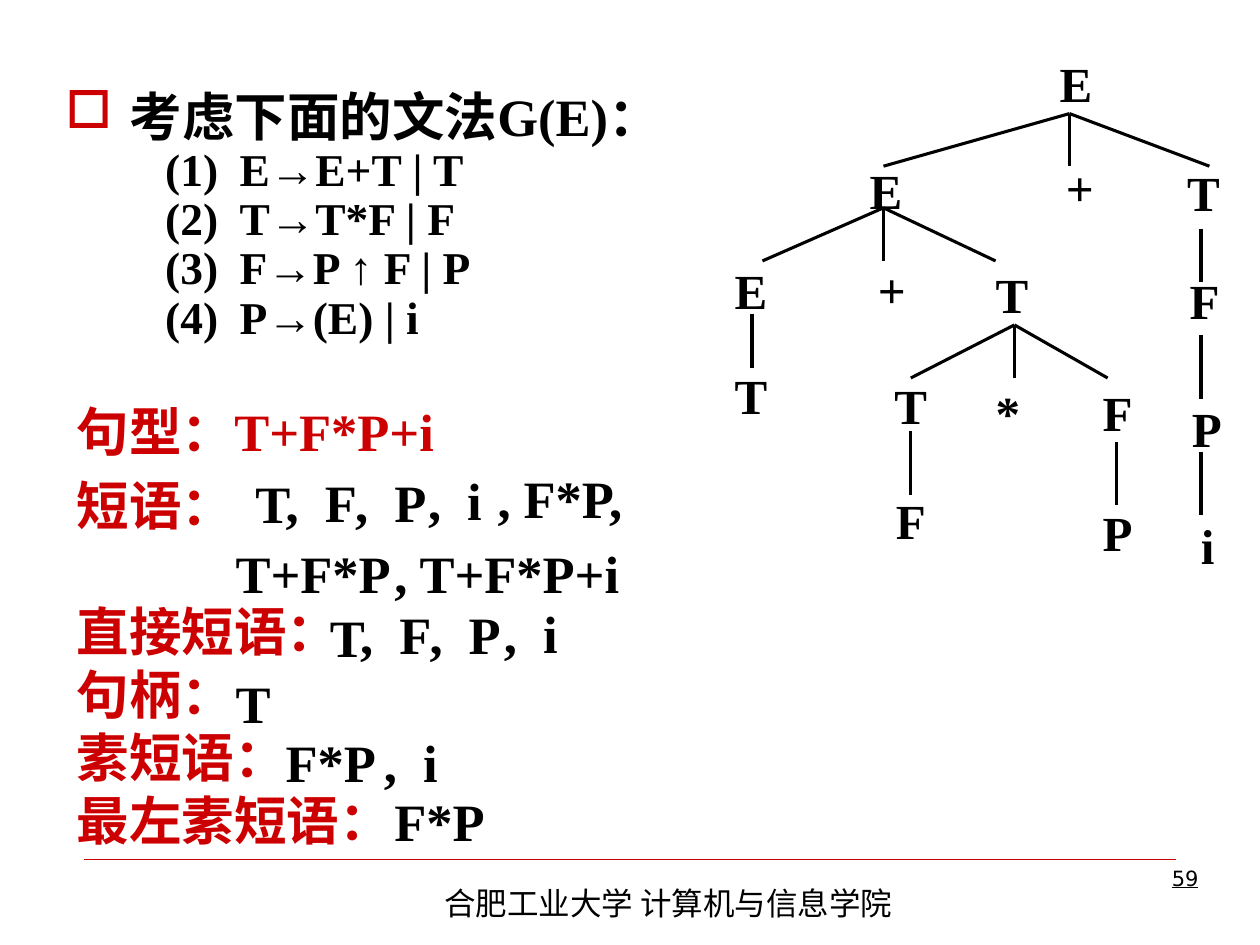
from dataclasses import dataclass

from lxml.etree import SubElement
from pptx import Presentation
from pptx.dml.color import RGBColor
from pptx.enum.text import MSO_ANCHOR, PP_ALIGN
from pptx.oxml.ns import qn
from pptx.util import Cm, Pt


@dataclass(frozen=True)
class Theme:
    black: str = "000000"
    red: str = "CC0000"
    serif: str = "Times New Roman"
    hei: str = "Noto Sans CJK SC"
    sans: str = "Arial"
    mono: str = "DejaVu Sans"
    big: int = 30
    node: int = 28
    rule: int = 26
    foot: int = 18
    small: int = 12


def inch(num):
    """Turn a grid value in inches into a Cm length."""
    return Cm(round(num * 2.54, 2))


class Page:
    def __init__(self, deck, theme):
        self.theme = theme
        self.slide = deck.slides.add_slide(deck.slide_layouts[6])

    def box(self, spot, pad=(0.1, 0.05, 0.1, 0.05), wrap=True):
        frame = self.slide.shapes.add_textbox(*map(inch, spot)).text_frame
        sides = ("left", "top", "right", "bottom")
        form = {f"margin_{side}": inch(gap) for side, gap in zip(sides, pad)}
        form.update(word_wrap=wrap, vertical_anchor=MSO_ANCHOR.TOP)
        for key, val in form.items():
            setattr(frame, key, val)
        return frame

    def para(self, frame, first=False, **form):
        para = frame.paragraphs[0] if first else frame.add_paragraph()
        for key, val in form.items():
            setattr(para, key, val)
        return para

    def hang(self, para, left, back):
        """Indent a paragraph by left, its first line by back less."""
        props = para._p.get_or_add_pPr()
        props.set("marL", str(inch(left)))
        props.set("indent", str(-inch(back)))
        return props

    def bullet(self, para, mark):
        props = self.hang(para, 0.51, 0.51)
        tint = SubElement(props, qn("a:buClr"))
        SubElement(tint, qn("a:srgbClr"), val=self.theme.red)
        SubElement(props, qn("a:buChar"), char=mark)

    def stop(self, para, place):
        tabs = SubElement(para._p.get_or_add_pPr(), qn("a:tabLst"))
        SubElement(tabs, qn("a:tab"), pos=str(inch(place)), algn="l")

    def run(self, para, text, size, tint=None, **form):
        run = para.add_run()
        run.text = text
        style = {"name": self.theme.serif, "bold": True, "size": Pt(size)}
        for key, val in {**style, **form}.items():
            setattr(run.font, key, val)
        run.font.color.rgb = RGBColor.from_string(tint or self.theme.black)

    def line(self, start, end, width, tint):
        ends = map(inch, (*start, *end))
        line = self.slide.shapes.add_connector(1, *ends)
        line.line.width = Pt(width)
        line.line.color.rgb = RGBColor.from_string(tint)
        SubElement(line._element.spPr, qn("a:effectLst"))

    def node(self, mark, left, top):
        wide = {"+": 0.22, "*": 0.19, "i": 0.11, "F": 0.24, "P": 0.24}
        frame = self.box((left, top, wide.get(mark, 0.26), 0.47), (0,) * 4, False)
        self.run(self.para(frame, True), mark, self.theme.node)

    def item(self, text, left, top, width):
        """Place one answer; a tab in it parts a comma from a symbol."""
        frame = self.box((left, top, width, 0.6), (0.1, 0.05, 0, 0.05))
        para = self.para(frame, True)
        if "\t" in text:
            self.stop(para, 0.31)
        self.run(para, text, self.theme.big)


RULES = [
    ["(1)\tE→E+T | T"],
    ["(2)\tT→T*F | F"],
    ["(3)\tF→P ", "↑", " F | P"],
    ["(4)\tP→(E) | i"],
]
LABELS = ["短语：", "直接短语：", "句柄：", "素短语：", "最左素短语："]
NODES = [
    ("E", 8.41, 0.42), ("E", 6.9, 1.27), ("+", 8.46, 1.25), ("T", 9.42, 1.29),
    ("E", 5.83, 2.07), ("+", 6.97, 2.06), ("T", 7.9, 2.1), ("F", 9.44, 2.15),
    ("T", 5.83, 2.9), ("T", 7.1, 2.98), ("*", 7.9, 3.04), ("F", 8.75, 3.04),
    ("P", 9.46, 3.16), ("F", 7.11, 3.89), ("P", 8.75, 3.99), ("i", 9.53, 4.09),
]
# Top point, depth, then the x of each lower end
FORKS = [
    (8.49, 0.9, 0.42, (7.01, 8.49, 9.6)),
    (7.01, 1.65, 0.42, (6.05, 7.01, 7.9)),
    (8.05, 2.58, 0.42, (7.23, 8.05, 8.79)),
    (5.97, 2.49, 0.43, (5.97,)),
    (7.23, 3.42, 0.51, (7.23,)),
    (8.86, 3.51, 0.5, (8.86,)),
    (9.53, 1.82, 0.42, (9.53,)),
    (9.53, 2.66, 0.51, (9.53,)),
    (9.53, 3.59, 0.5, (9.53,)),
]
ITEMS = [
    ("T", 1.93, 3.69, 0.48), (",\tF", 2.17, 3.68, 0.76),
    (",\tP", 2.72, 3.68, 0.76), (",\ti", 3.3, 3.66, 0.71),
    (", F*P,", 3.85, 3.65, 1.23), ("T+F*P", 1.77, 4.24, 1.43),
    (", T+F*P+i", 3.03, 4.24, 1.99), ("T", 2.52, 4.75, 0.48),
    (",\tF", 2.76, 4.73, 0.76), (",\tP", 3.31, 4.73, 0.76),
    (",\ti", 3.9, 4.72, 0.71), ("T", 1.77, 5.27, 0.48),
    ("F*P", 2.17, 5.74, 0.91), (",\ti", 2.95, 5.74, 0.71),
    ("F*P", 3.03, 6.21, 0.91),
]


def footer(page):
    theme = page.theme
    page.line((0.67, 6.82), (9.33, 6.82), 0.25, theme.red)
    para = page.para(page.box((3.43, 6.97, 4.8, 0.4)), True)
    page.run(para, "合肥工业大学 计算机与信息学院", theme.foot, name=theme.hei, bold=False)
    para = page.para(page.box((7.44, 6.82, 2.17, 0.52)), True, alignment=PP_ALIGN.RIGHT)
    page.run(para, "59", theme.small, name=theme.mono, bold=False, underline=True)


def grammar(page):
    theme = page.theme
    frame = page.box((0.42, 0.67, 9.08, 2.58))
    para = page.para(frame, True, line_spacing=0.9)
    page.bullet(para, "□")
    page.run(para, "考虑下面的文法G(E)：", theme.big)
    for parts in RULES:
        para = page.para(frame, line_spacing=0.9)
        page.hang(para, 1.38, 0.59)
        for part in parts:
            name = theme.sans if part == "↑" else theme.serif
            page.run(para, part, theme.rule, name=name)


def tree(page):
    for node in NODES:
        page.node(*node)
    for left, top, deep, ends in FORKS:
        for end in ends:
            page.line((left, top), (end, top + deep), 1.75, page.theme.black)


def answers(page):
    theme = page.theme
    para = page.para(page.box((0.51, 3.12, 4.92, 0.67)), True)
    page.run(para, "句型：", theme.big, theme.red, name=theme.hei)
    page.run(para, "T+F*P+i", theme.big, theme.red)
    frame = page.box((0.51, 3.7, 2.75, 2.75))
    for row, label in enumerate(LABELS):
        para = page.para(frame, row == 0, space_before=Pt(36 if row == 1 else 0))
        page.run(para, label, theme.big, theme.red)
    for item in ITEMS:
        page.item(*item)


def main():
    deck = Presentation()
    deck.slide_width, deck.slide_height = Cm(25.4), Cm(19.05)
    page = Page(deck, Theme())
    for part in (footer, grammar, tree, answers):
        part(page)
    deck.save("out.pptx")


if __name__ == "__main__":
    main()
